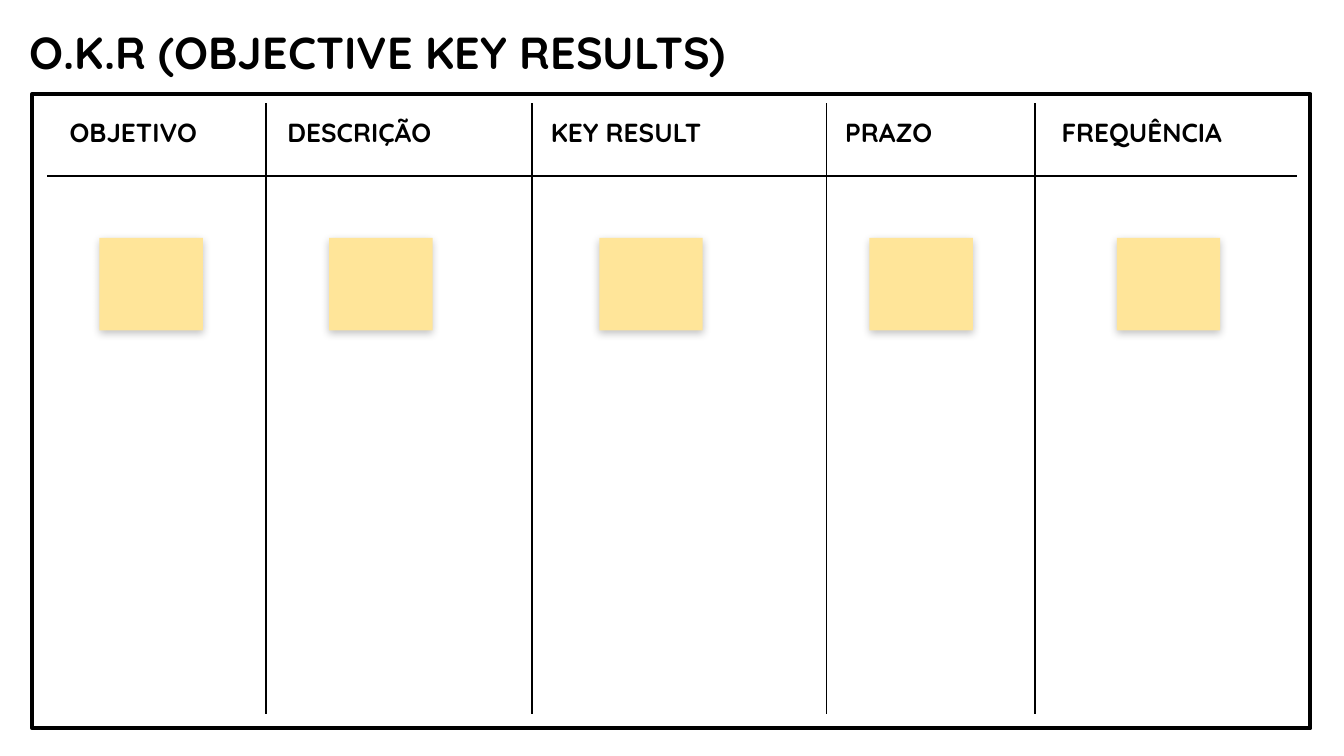
import pptx
import pptx.util
import pptx.dml.color
import pptx.enum.shapes
import pptx.enum.text
import pptx.oxml
import pptx.oxml.ns

Pt = pptx.util.Pt
RECT = pptx.enum.shapes.MSO_SHAPE.RECTANGLE
LINE = pptx.enum.shapes.MSO_CONNECTOR.STRAIGHT
ANCHOR = pptx.enum.text.MSO_ANCHOR
LEFT = pptx.enum.text.PP_ALIGN.LEFT
FIT = pptx.enum.text.MSO_AUTO_SIZE.NONE

COLUMNS = [
    ("OBJETIVO", 30.2, 124.6, 53.3),
    ("DESCRIÇÃO", 146.9, 135.4, 176.4),
    ("KEY RESULT", 288, 172.8, 321.1),
    ("PRAZO", 445.7, 104.4, 465.8),
    ("FREQUÊNCIA", 561.6, 135.4, 598.3),
]
DIVIDERS = [142.6, 285.1, 442.8, 554.4]
SHADOW = (
    f'<a:effectLst {pptx.oxml.ns.nsdecls("a")}>'
    '<a:outerShdw blurRad="57150" dist="19050" dir="5400000" '
    'algn="bl" rotWithShape="0"><a:srgbClr val="000000">'
    '<a:alpha val="24000"/></a:srgbClr></a:outerShdw></a:effectLst>'
)


def color(text):
    return pptx.dml.color.RGBColor.from_string(text)


def assign(item, values):
    for name, value in values.items():
        setattr(item, name, value)


def write(shape, text, size, inset, anchor, space):
    frame = shape.text_frame
    frame.text = text
    sides = ("left", "top", "right", "bottom")
    margins = {f"margin_{side}": Pt(inset) for side in sides}
    assign(frame, {"word_wrap": True, "auto_size": FIT,
                   "vertical_anchor": anchor, **margins})
    para = frame.paragraphs[0]
    assign(para, {"alignment": LEFT, "line_spacing": space})
    font = para.runs[0].font
    assign(font, {"name": "Quicksand", "size": Pt(size), "bold": True})
    font.color.rgb = color("000000")


def add_title(slide, text):
    title = slide.shapes.title
    assign(title, {"left": Pt(13), "top": Pt(11.5),
                   "width": Pt(603.4), "height": Pt(32.4)})
    write(title, text, 24, 2.9, ANCHOR.MIDDLE, 1.0)


def add_head(slide, text, left, width):
    box = slide.shapes.add_textbox(Pt(left), Pt(58.3), Pt(width), Pt(46.1))
    write(box, text, 14, 7.2, ANCHOR.TOP, 0.8)


def add_frame(slide):
    frame = slide.shapes.add_shape(
        RECT, Pt(17.3), Pt(50.4), Pt(684.7), Pt(339.8))
    frame.shadow.inherit = False
    frame.fill.background()
    frame.line.color.rgb = color("000000")
    frame.line.width = Pt(2.25)


def add_rule(slide, *ends):
    rule = slide.shapes.add_connector(LINE, *map(Pt, ends))
    rule.line.color.rgb = color("000000")
    rule.line.width = Pt(0.75)
    props = rule._element.spPr
    props.append(props.makeelement(pptx.oxml.ns.qn("a:effectLst"), {}))


def add_note(slide, left):
    note = slide.shapes.add_shape(
        RECT, Pt(left), Pt(127.4), Pt(55.4), Pt(49.7))
    note.fill.solid()
    note.fill.fore_color.rgb = color("FFE599")
    note.line.fill.background()
    note._element.spPr.append(pptx.oxml.parse_xml(SHADOW))


def main():
    deck = pptx.Presentation()
    assign(deck, {"slide_width": Pt(720), "slide_height": Pt(405)})
    slide = deck.slides.add_slide(deck.slide_layouts.get_by_name("Title Only"))
    add_title(slide, "O.K.R (OBJECTIVE KEY RESULTS)")
    add_frame(slide)
    for x in DIVIDERS:
        add_rule(slide, x, 55.4, x, 382.3)
    add_rule(slide, 25.2, 94.3, 694.8, 94.3)
    for text, left, width, spot in COLUMNS:
        add_head(slide, text, left, width)
        add_note(slide, spot)
    deck.save("out.pptx")


if __name__ == "__main__":
    main()
